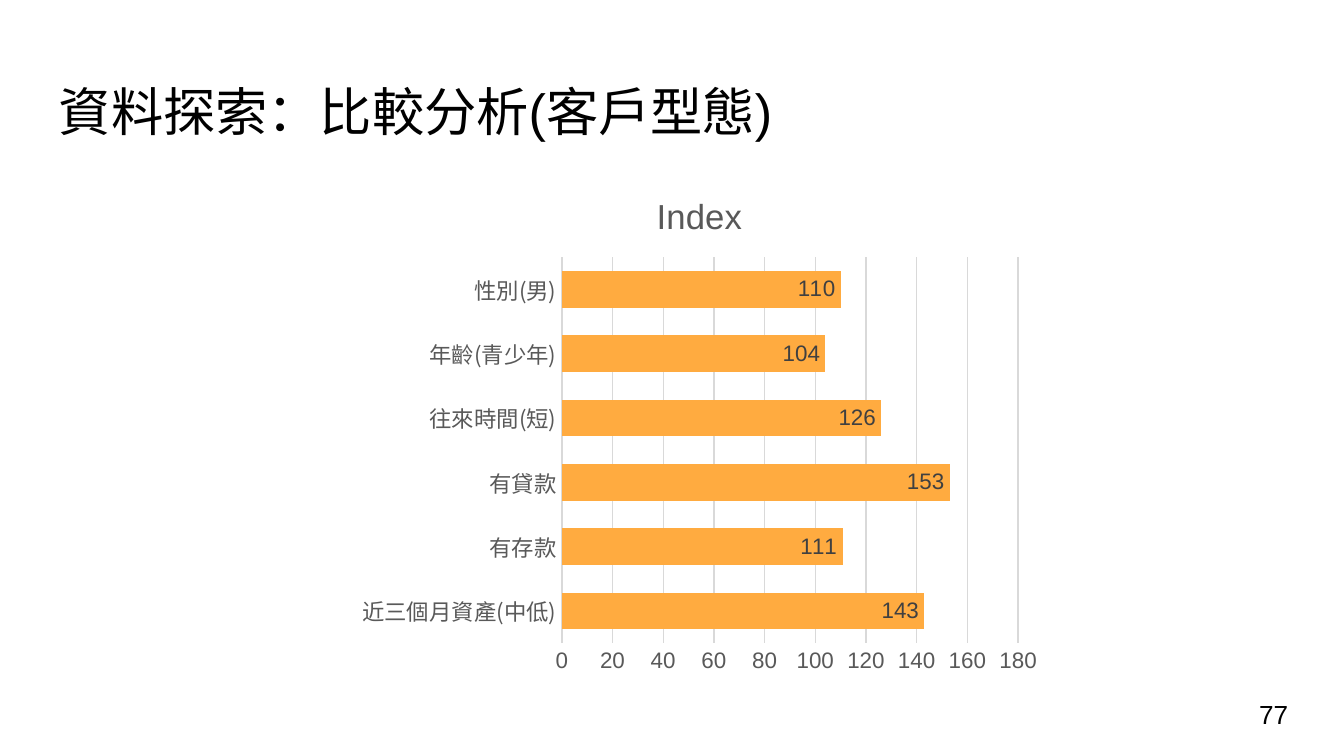
import pptx
import pptx.chart.data
import pptx.dml.color
import pptx.enum.chart
import pptx.enum.text
import pptx.util

Pt = pptx.util.Pt
RGBColor = pptx.dml.color.RGBColor

BLACK = RGBColor(0x00, 0x00, 0x00)
GRAY = RGBColor(0x59, 0x59, 0x59)
DARK_GRAY = RGBColor(0x40, 0x40, 0x40)
GRID = RGBColor(0xD9, 0xD9, 0xD9)
ORANGE = RGBColor(0xFF, 0xAB, 0x40)

LATIN = "Arial"
CJK = "Noto Sans CJK SC"

# Listed from the bottom bar to the top bar
INDEX_VALUES = {
    "近三個月資產(中低)": 143,
    "有存款": 111,
    "有貸款": 153,
    "往來時間(短)": 126,
    "年齡(青少年)": 104,
    "性別(男)": 110,
}


def style_font(font, size, color, name=LATIN):
    font.size = Pt(size)
    font.name = name
    font.bold = False
    font.color.rgb = color


def style_line(line, color):
    line.color.rgb = color
    line.width = Pt(0.75)


def add_text(s, text, left, top, width, height, size, anchor):
    tf = s.shapes.add_textbox(Pt(left), Pt(top), Pt(width), Pt(height)).text_frame
    tf.word_wrap = True
    tf.vertical_anchor = anchor
    tf.margin_left = tf.margin_right = tf.margin_top = tf.margin_bottom = Pt(7.2)
    tf.text = text
    style_font(tf.paragraphs[0].runs[0].font, size, BLACK)


def style_axes(chart):
    tick_none = pptx.enum.chart.XL_TICK_MARK.NONE
    for axis, name in ((chart.category_axis, CJK), (chart.value_axis, LATIN)):
        axis.major_tick_mark = axis.minor_tick_mark = tick_none
        style_font(axis.tick_labels.font, 12, GRAY, name)

    chart.category_axis.has_major_gridlines = False
    style_line(chart.category_axis.format.line, GRID)

    values = chart.value_axis
    values.minimum_scale, values.maximum_scale, values.major_unit = 0, 180, 20
    values.format.line.fill.background()
    values.has_major_gridlines = True
    style_line(values.major_gridlines.format.line, GRID)


def add_bar_chart(s, title, values, left, top, width, height):
    data = pptx.chart.data.CategoryChartData()
    data.categories = values.keys()
    data.add_series(title, values.values())
    chart = s.shapes.add_chart(
        pptx.enum.chart.XL_CHART_TYPE.BAR_CLUSTERED,
        Pt(left), Pt(top), Pt(width), Pt(height), data).chart
    style_font(chart.font, 10, BLACK)
    chart.has_legend = False

    # Chart title
    chart.has_title = True
    tf = chart.chart_title.text_frame
    tf.text = title
    style_font(tf.paragraphs[0].runs[0].font, 18.6, GRAY)
    chart.chart_title.include_in_layout = False

    style_axes(chart)

    # Bars and their value labels
    plot = chart.plots[0]
    plot.vary_by_categories = False
    plot.gap_width = 75
    plot.overlap = -25
    bars = plot.series[0]
    bars.format.fill.solid()
    bars.format.fill.fore_color.rgb = ORANGE
    labels = bars.data_labels
    labels.show_value = True
    labels.position = pptx.enum.chart.XL_LABEL_POSITION.INSIDE_END
    style_font(labels.font, 12, DARK_GRAY)


def main():
    prs = pptx.Presentation()
    prs.slide_width, prs.slide_height = Pt(720), Pt(405)
    s = prs.slides.add_slide(prs.slide_layouts[6])
    anchors = pptx.enum.text.MSO_ANCHOR

    # Heading
    add_text(s, "資料探索：比較分析(客戶型態)", 24.5, 35, 671, 45, 28, anchors.TOP)

    # Index by customer type
    add_bar_chart(s, "Index", INDEX_VALUES, 186.5, 90.7, 376.5, 275)

    # Page number
    add_text(s, "77", 667.5, 367.2, 43.2, 31, 14, anchors.MIDDLE)

    prs.save("out.pptx")


if __name__ == "__main__":
    main()
